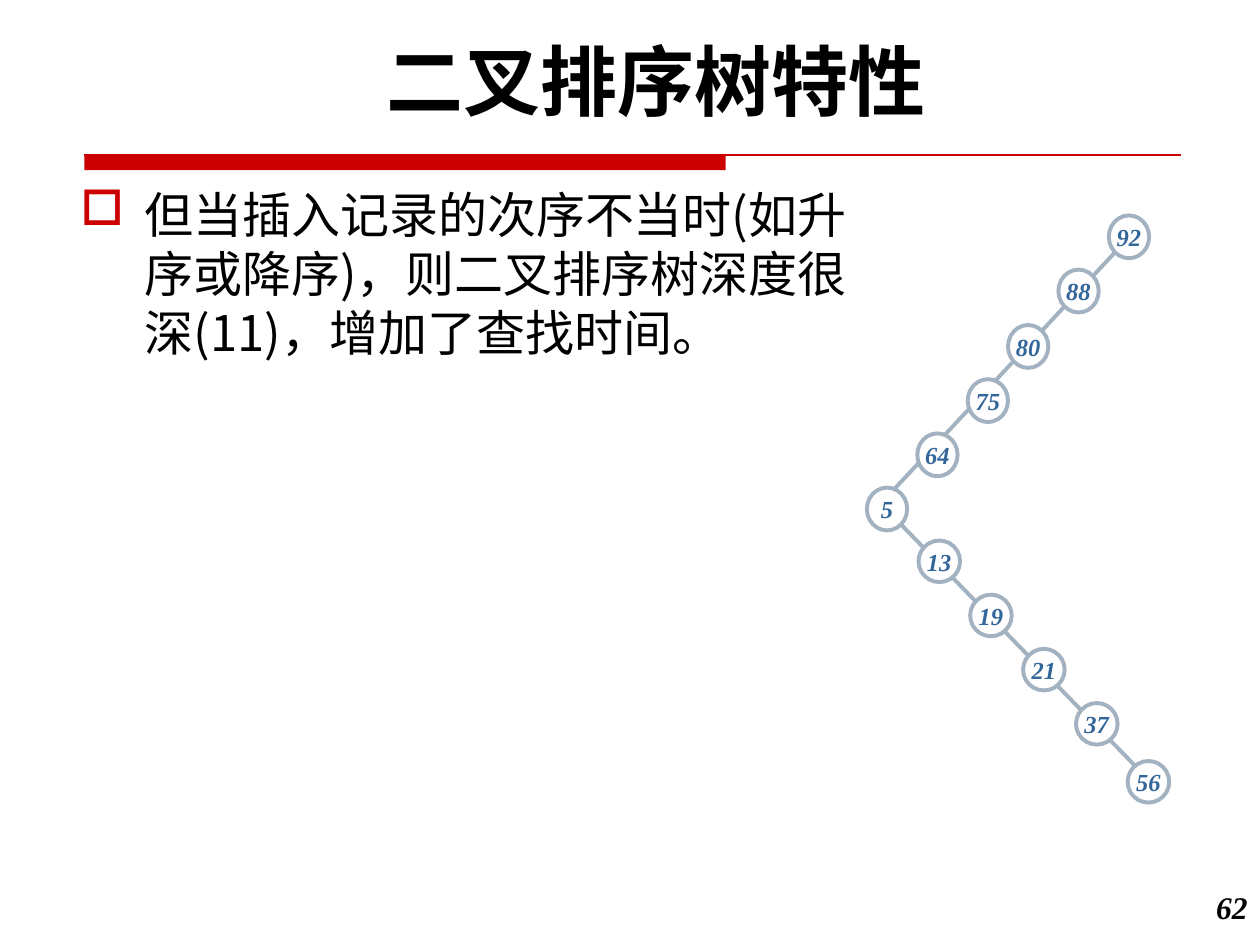
from dataclasses import dataclass

from lxml import etree
from pptx import Presentation
from pptx.dml.color import RGBColor
from pptx.enum import shapes, text
from pptx.oxml.ns import qn
from pptx.util import Inches, Pt


@dataclass(frozen=True)
class Theme:
    black: RGBColor = RGBColor(0, 0, 0)
    white: RGBColor = RGBColor(255, 255, 255)
    red: RGBColor = RGBColor(0xCC, 0, 0)
    edge: RGBColor = RGBColor(0xA3, 0xB2, 0xC1)
    key: RGBColor = RGBColor(0x33, 0x66, 0x99)
    title_font: str = "Karla"
    body_font: str = "Noto Sans CJK SC"
    number_font: str = "Times New Roman"
    title_size: Pt = Pt(44)
    body_size: Pt = Pt(28)
    page_size: Pt = Pt(18)
    key_size: Pt = Pt(14)
    rule_width: Pt = Pt(0.75)
    edge_width: Pt = Pt(2.25)


THEME = Theme()

# Key, left and top of each node, following the two branches
DESCENDING = [(92, 8.8, 1.71), (88, 8.4, 2.14), (80, 8, 2.58),
              (75, 7.68, 3.01), (64, 7.28, 3.44), (5, 6.88, 3.87)]
ASCENDING = [(13, 7.29, 4.29), (19, 7.7, 4.72), (21, 8.12, 5.15),
             (37, 8.54, 5.58), (56, 8.95, 6.04)]


def add_run(p, content, font, size, color, bold=False, italic=False):
    r = p.add_run()
    r.text = content
    r.font.name, r.font.size = font, size
    r.font.bold, r.font.italic = bold, italic
    r.font.color.rgb = color
    ea = etree.SubElement(r.font._element, qn("a:ea"))
    ea.set("typeface", font)


def add_title(s):
    sp = s.shapes.title
    sp.left, sp.top = Inches(0.58), Inches(0.21)
    sp.width, sp.height = Inches(9.25), Inches(0.84)
    tf = sp.text_frame
    tf.vertical_anchor = text.MSO_ANCHOR.MIDDLE
    tf.auto_size = text.MSO_AUTO_SIZE.NONE
    p = tf.paragraphs[0]
    p.alignment = text.PP_ALIGN.CENTER
    add_run(p, "二叉排序树特性", THEME.title_font, THEME.title_size,
            THEME.black, bold=True)


def add_line(s, start, end, color, width):
    line = s.shapes.add_connector(
        shapes.MSO_CONNECTOR.STRAIGHT, *map(Inches, start + end))
    line.line.color.rgb, line.line.width = color, width
    etree.SubElement(line._element.spPr, qn("a:effectLst"))


def add_title_rule(s):
    bar = s.shapes.add_shape(shapes.MSO_SHAPE.RECTANGLE, Inches(0.67),
                             Inches(1.23), Inches(5.09), Inches(0.12))
    bar.shadow.inherit = False
    bar.fill.solid()
    bar.fill.fore_color.rgb = THEME.red
    bar.line.fill.background()
    add_line(s, (0.67, 1.23), (9.37, 1.23), THEME.red, THEME.rule_width)


def add_bullet(p, char, color, indent):
    """Give the paragraph a coloured bullet with a hanging indent."""
    pPr = p._p.get_or_add_pPr()
    pPr.set("marL", str(indent))
    pPr.set("indent", str(-indent))
    clr = etree.SubElement(pPr, qn("a:buClr"))
    etree.SubElement(clr, qn("a:srgbClr")).set("val", str(color))
    etree.SubElement(pPr, qn("a:buChar")).set("char", char)


def add_text_box(s, left, top, width, height):
    box = s.shapes.add_textbox(*map(Inches, (left, top, width, height)))
    box.text_frame.word_wrap = True
    return box.text_frame.paragraphs[0]


def add_body(s):
    p = add_text_box(s, 0.54, 1.42, 6.65, 1.57)
    add_bullet(p, "□", THEME.red, Inches(0.51))
    p.line_spacing = Pt(33.5)
    add_run(p, "但当插入记录的次序不当时(如升序或降序)，则二叉排序树深度很深(11)，增加了查找时间。",
            THEME.body_font, THEME.body_size, THEME.black)


def add_page_number(s):
    p = add_text_box(s, 9.33, 7, 0.67, 0.5)
    p.alignment = text.PP_ALIGN.RIGHT
    add_run(p, "62", THEME.number_font, THEME.page_size, THEME.black,
            bold=True, italic=True)


def add_node(s, key, left, top, width, height):
    sp = s.shapes.add_shape(shapes.MSO_SHAPE.OVAL,
                            *map(Inches, (left, top, width, height)))
    sp.shadow.inherit = False
    sp.fill.solid()
    sp.fill.fore_color.rgb = THEME.white
    sp.line.color.rgb, sp.line.width = THEME.edge, THEME.edge_width
    tf = sp.text_frame
    tf.word_wrap = False
    tf.vertical_anchor = text.MSO_ANCHOR.MIDDLE
    p = tf.paragraphs[0]
    p.alignment = text.PP_ALIGN.CENTER
    add_run(p, str(key), THEME.number_font, THEME.key_size, THEME.key,
            bold=True, italic=True)


def add_tree(s):
    add_line(s, (8.88, 1.97), (6.95, 4.04), THEME.edge, THEME.edge_width)
    add_line(s, (7.12, 4.13), (9.03, 6.1), THEME.edge, THEME.edge_width)
    for node in DESCENDING:
        add_node(s, *node, 0.32, 0.34)
    for node in ASCENDING:
        add_node(s, *node, 0.33, 0.33)


def main():
    prs = Presentation()
    prs.slide_width, prs.slide_height = Inches(10), Inches(7.5)
    s = prs.slides.add_slide(prs.slide_layouts[5])
    add_title(s)
    add_title_rule(s)
    add_body(s)
    add_tree(s)
    add_page_number(s)
    prs.save("out.pptx")


if __name__ == "__main__":
    main()
